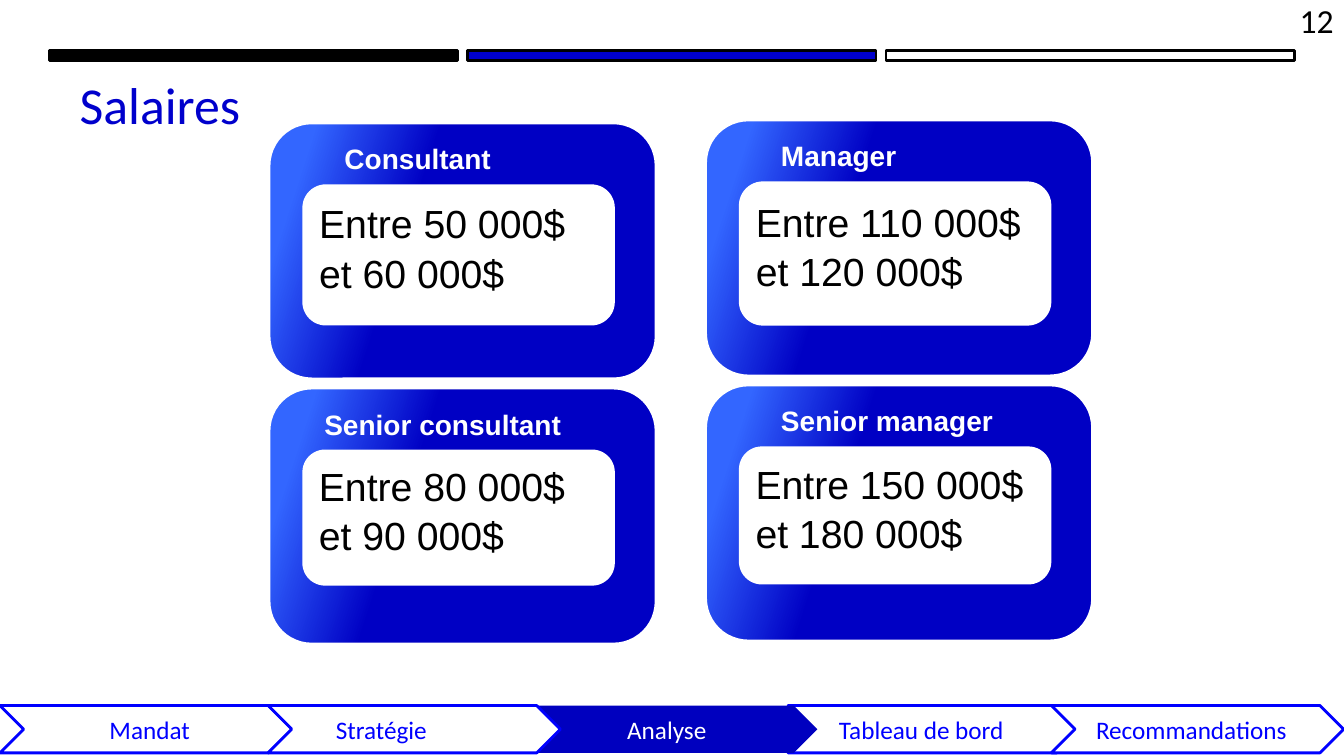
from pptx import Presentation
from pptx.dml.color import RGBColor
from pptx.enum.shapes import MSO_SHAPE
from pptx.enum.text import MSO_ANCHOR, MSO_AUTO_SIZE, PP_ALIGN
from pptx.util import Pt

RECT, ROUNDED, CHEVRON = MSO_SHAPE.RECTANGLE, MSO_SHAPE.ROUNDED_RECTANGLE, MSO_SHAPE.CHEVRON
TOP, MIDDLE = MSO_ANCHOR.TOP, MSO_ANCHOR.MIDDLE
LEFT, CENTER, RIGHT = PP_ALIGN.LEFT, PP_ALIGN.CENTER, PP_ALIGN.RIGHT
NO_AUTOFIT = MSO_AUTO_SIZE.NONE

BLACK = RGBColor(0x00, 0x00, 0x00)
WHITE = RGBColor(0xFF, 0xFF, 0xFF)
TITLE_BLUE = RGBColor(0x00, 0x00, 0xCC)
STEP_BLUE = RGBColor(0x00, 0x00, 0xFF)
ACTIVE_BLUE = RGBColor(0x00, 0x00, 0xBF)
CARD_LIGHT = RGBColor(0x33, 0x66, 0xFF)
CARD_DARK = RGBColor(0x00, 0x00, 0xC4)

CARD_W, CARD_H = 276.5, 182.9
STEP_TOP, STEP_W, STEP_H = 504, 208.8, 33.8

# left, top, height of the white panel, indent of the heading, heading, salary lines
CARDS = [
    (192.2, 87.8, 100.8, 46.8, "Consultant", ["Entre 50 000$", "et 60 000$"]),
    (192.2, 277.2, 97.2, 32.4, "Senior consultant", ["Entre 80 000$", "et 90 000$"]),
    (504, 85.7, 103, 46.8, "Manager", ["Entre 110 000$", "et 120 000$"]),
    (504, 275, 98.6, 46.8, "Senior manager", ["Entre 150 000$", "et 180 000$"]),
]

# left, label, left inset, alignment; from back to front
STEPS = [
    (0, "Mandat", 7.2, CENTER),
    (563, "Tableau de bord", 19.4, LEFT),
    (751, "Recommandations", 15, LEFT),
    (375.1, "Analyse", 56, LEFT),
    (191.5, "Stratégie", 31.5, LEFT),
]
ACTIVE_STEP = "Analyse"


class SlideBuilder:
    heading_font = "Calibri"
    body_font = "Arial"

    def __init__(self, prs):
        self.slide = prs.slides.add_slide(prs.slide_layouts[5])

    def set_text(self, sp, lines, size, color, font, bold=False, align=LEFT,
                 anchor=MIDDLE, margins=(7.2, 3.6, 7.2, 3.6)):
        """Fill a shape with paragraphs; margins run left, top, right, bottom."""
        tf = sp.text_frame
        tf.text = "\n".join(lines)
        tf.word_wrap = True
        tf.auto_size = NO_AUTOFIT
        tf.vertical_anchor = anchor
        tf.margin_left, tf.margin_top, tf.margin_right, tf.margin_bottom = map(Pt, margins)
        for p in tf.paragraphs:
            p.alignment = align
            for r in p.runs:
                r.font.size = Pt(size)
                r.font.name = font
                r.font.bold = bold
                r.font.color.rgb = color

    def shape(self, kind, x, y, w, h, fill=None, line=None):
        sp = self.slide.shapes.add_shape(kind, Pt(x), Pt(y), Pt(w), Pt(h))
        sp.shadow.inherit = False
        if fill is not None:
            sp.fill.solid()
            sp.fill.fore_color.rgb = fill
        if line is None:
            sp.line.fill.background()
        else:
            sp.line.color.rgb = line
            sp.line.width = Pt(2)
        return sp

    def textbox(self, x, y, w, h, text, size, color, font, **style):
        sp = self.slide.shapes.add_textbox(Pt(x), Pt(y), Pt(w), Pt(h))
        self.set_text(sp, [text], size, color, font, **style)

    def title(self, text):
        sp = self.slide.shapes.title
        sp.left, sp.top, sp.width, sp.height = Pt(31.7), Pt(48.2), Pt(475.2), Pt(56.9)
        self.set_text(sp, [text], 37, TITLE_BLUE, self.heading_font,
                      margins=(25.2, 3.6, 7.2, 3.6))
        sp.text_frame.paragraphs[0].line_spacing = 0.9

    def card(self, x, y, panel_h, indent, heading, salary):
        sp = self.shape(ROUNDED, x, y, CARD_W, CARD_H, line=WHITE)
        sp.fill.gradient()
        sp.fill.gradient_angle = 342
        stops = [(0.1, CARD_LIGHT), (0.37, CARD_DARK)]
        for stop, (position, color) in zip(sp.fill.gradient_stops, stops):
            stop.position = position
            stop.color.rgb = color
        panel = self.shape(ROUNDED, x + 23.8, y + 43.9, 223.2, panel_h, WHITE)
        self.set_text(panel, salary, 28, BLACK, self.body_font, margins=(7.2, 3.6, 0, 13.6))
        panel.text_frame.paragraphs[1].space_before = Pt(1.5)
        self.textbox(x + indent, y + 10, 197, 31.7, heading, 20, WHITE,
                     self.body_font, bold=True, anchor=TOP)

    def step(self, x, label, inset, align):
        active = label == ACTIVE_STEP
        fill, line, color = ((ACTIVE_BLUE, None, WHITE) if active
                             else (WHITE, STEP_BLUE, STEP_BLUE))
        sp = self.shape(CHEVRON, x, STEP_TOP, STEP_W, STEP_H, fill, line)
        self.set_text(sp, [label], 18, color, self.heading_font, align=align,
                      margins=(inset, 3.6, 2, 3.6))


def main():
    prs = Presentation()
    prs.slide_width, prs.slide_height = Pt(960), Pt(540)
    s = SlideBuilder(prs)
    for i, fill in enumerate([BLACK, TITLE_BLUE, WHITE]):
        s.shape(RECT, 35.3 + i * 298.8, 36, 291.6, 7.4, fill, BLACK)
    s.textbox(743.8, 0, 216, 28.8, "12", 24, BLACK, s.heading_font, align=RIGHT)
    s.title("Salaires")
    for card in CARDS:
        s.card(*card)
    for step in STEPS:
        s.step(*step)
    prs.save("out.pptx")


if __name__ == "__main__":
    main()
